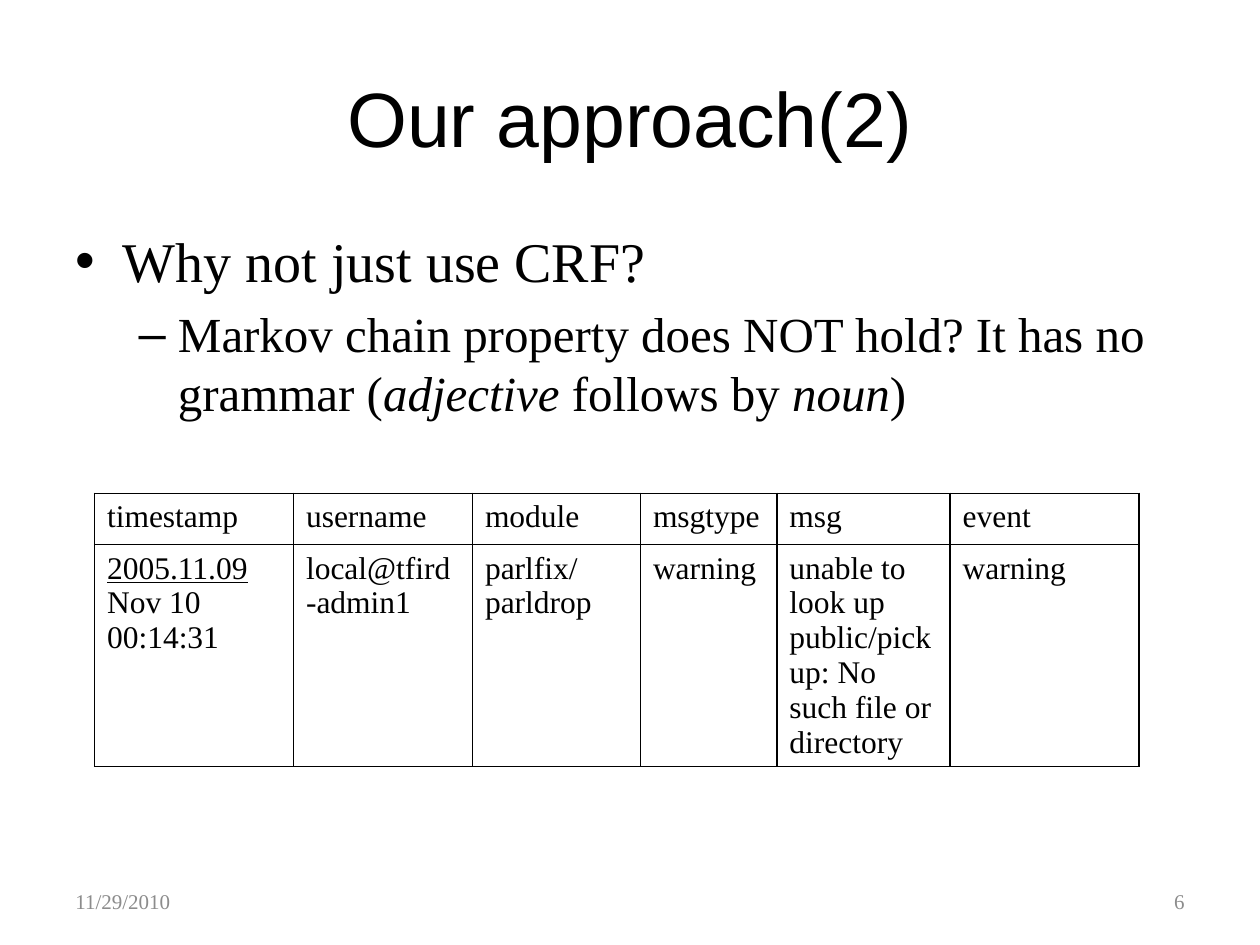
from pptx import Presentation
from pptx.util import Pt
from pptx.dml.color import RGBColor
from pptx.enum.text import PP_ALIGN, MSO_ANCHOR, MSO_AUTO_SIZE
from pptx.oxml.ns import qn
from lxml.etree import SubElement

# Content: runs are (text, style), where style is "", "i" or "u"
TITLE = "Our approach(2)"
BODY = [
    (0, [("Why not just use CRF?", "")]),
    (1, [("Markov chain property does NOT hold? It has no grammar (", ""),
         ("adjective", "i"), (" follows by ", ""), ("noun", "i"), (")", "")]),
]
HEAD = ["timestamp", "username", "module", "msgtype", "msg", "event"]
LOG = [
    [("2005.11.09", "u"), (" Nov 10 00:14:31", "")],
    [("local@tfird-admin1", "")],
    [("parlfix/parldrop", "")],
    [("warning", "")],
    [("unable to look up public/pickup: No such file or directory", "")],
    [("warning", "")],
]
ROWS = [[[(name, "")] for name in HEAD], LOG]
DATE, PAGE = "11/29/2010", "6"

THEME = {
    "sans": "Arial", "serif": "Times New Roman",
    "ink": "000000", "muted": "8C8C8C", "paper": "FFFFFF",
    "title": 44, "levels": [32, 28], "cell": 18, "foot": 12,
}

# Layout in points
WIDE, HIGH, EDGE = 720, 540, 36
COLS = [113.7, 102.3, 96, 78, 99, 108]
TALL = [29.2, 126.8]
FOOT_W = 168


def place(shape, x, y, w, h):
    shape.left, shape.top, shape.width, shape.height = map(Pt, (x, y, w, h))


def write(para, runs, size, font="serif", ink="ink"):
    for text, style in runs:
        run = para.add_run()
        run.text = text
        face = run.font
        face.name, face.size = THEME[font], Pt(size)
        face.color.rgb = RGBColor.from_string(THEME[ink])
        if style == "i":
            face.italic = True
        if style == "u":
            face.underline = True


def rule(cell):
    """Give a cell thin lines on all four sides."""
    props = cell._tc.get_or_add_tcPr()
    for i, side in enumerate(("lnL", "lnR", "lnT", "lnB")):
        line = props.makeelement(qn("a:" + side), {"w": str(Pt(1))})
        props.insert(i, line)
        fill = SubElement(line, qn("a:solidFill"))
        SubElement(fill, qn("a:srgbClr"), val=THEME["ink"])


def add_foot(slide, text, x, align):
    box = slide.shapes.add_textbox(Pt(x), Pt(500.5), Pt(FOOT_W), Pt(28.75))
    frame = box.text_frame
    frame.word_wrap = True
    frame.vertical_anchor = MSO_ANCHOR.MIDDLE
    para = frame.paragraphs[0]
    para.alignment = align
    write(para, [(text, "")], THEME["foot"], ink="muted")


def add_log(slide):
    frame = slide.shapes.add_table(len(ROWS), len(COLS), Pt(54), Pt(282),
                                   Pt(sum(COLS)), Pt(sum(TALL)))
    table = frame.table
    for col, width in zip(table.columns, COLS):
        col.width = Pt(width)
    for r, (row, height) in enumerate(zip(ROWS, TALL)):
        table.rows[r].height = Pt(height)
        for c, runs in enumerate(row):
            cell = table.cell(r, c)
            cell.fill.solid()
            cell.fill.fore_color.rgb = RGBColor.from_string(THEME["paper"])
            para = cell.text_frame.paragraphs[0]
            write(para, runs, THEME["cell"])
            for run in para.runs:
                run.font.bold = False
            rule(cell)


def main():
    deck = Presentation()
    deck.slide_width, deck.slide_height = Pt(WIDE), Pt(HIGH)
    slide = deck.slides.add_slide(deck.slide_layouts[1])

    # Title
    title = slide.shapes.title
    place(title, EDGE, 21.6, WIDE - 2 * EDGE, 90)
    para = title.text_frame.paragraphs[0]
    para.alignment = PP_ALIGN.CENTER
    write(para, [(TITLE, "")], THEME["title"], "sans")

    # Bulleted list
    body = slide.placeholders[1]
    place(body, EDGE, 126, WIDE - 2 * EDGE, 356.4)
    frame = body.text_frame
    frame.auto_size = MSO_AUTO_SIZE.NONE
    for i, (level, runs) in enumerate(BODY):
        para = frame.add_paragraph() if i else frame.paragraphs[0]
        para.level = level
        write(para, runs, THEME["levels"][level])

    # Log table
    add_log(slide)

    # Date and page number
    add_foot(slide, DATE, EDGE, PP_ALIGN.LEFT)
    add_foot(slide, PAGE, WIDE - EDGE - FOOT_W, PP_ALIGN.RIGHT)

    deck.save("out.pptx")


if __name__ == "__main__":
    main()
